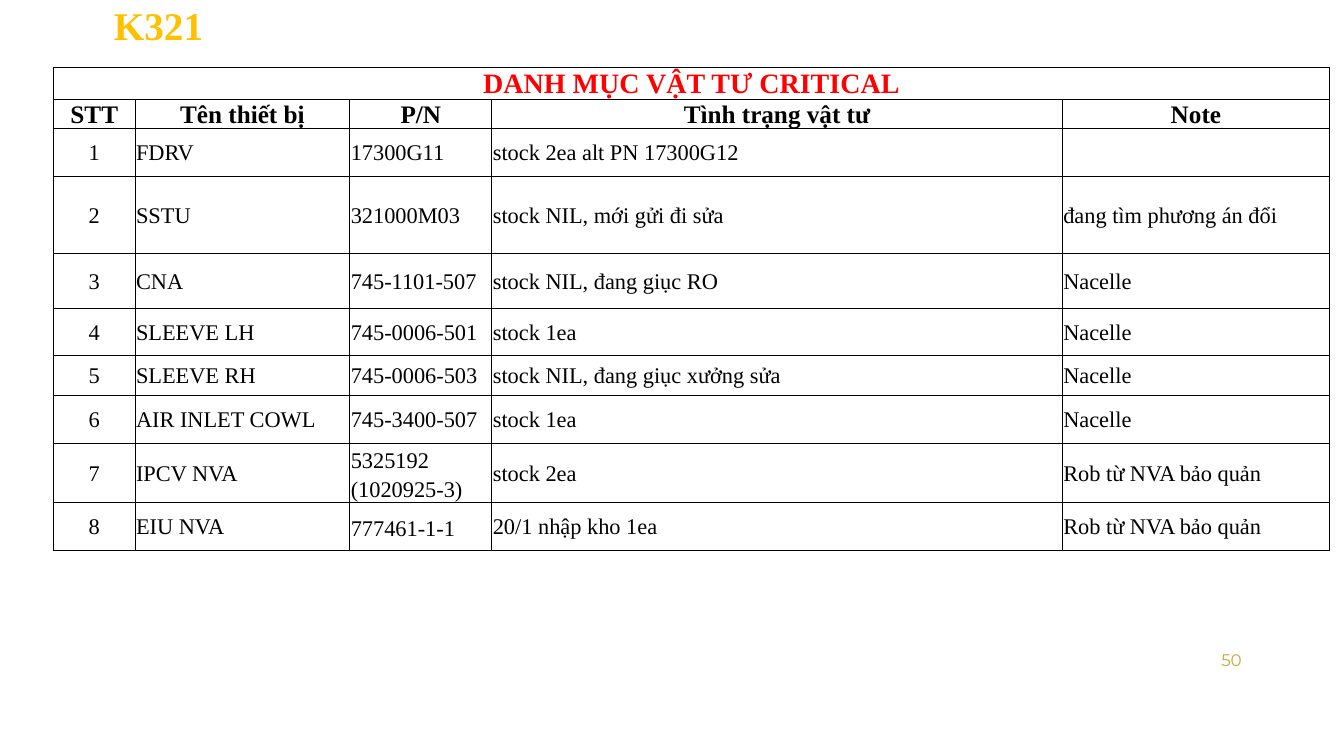
from pptx import Presentation
from pptx.dml.color import RGBColor
from pptx.enum.text import MSO_ANCHOR, MSO_AUTO_SIZE, PP_ALIGN
from pptx.oxml import parse_xml
from pptx.oxml.ns import nsdecls
from pptx.util import Pt

LEFT, MID, RIGHT = PP_ALIGN.LEFT, PP_ALIGN.CENTER, PP_ALIGN.RIGHT
CENTRE = MSO_ANCHOR.MIDDLE
FIXED = MSO_AUTO_SIZE.NONE
SERIF = "Times New Roman"
BLACK = "000000"
HEAD = ["STT", "Tên thiết bị", "P/N", "Tình trạng vật tư", "Note"]
PARTS = [
    ["FDRV", "17300G11", "stock 2ea alt PN 17300G12", ""],
    ["SSTU", "321000M03", "stock NIL, mới gửi đi sửa", "đang tìm phương án đổi"],
    ["CNA", "745-1101-507", "stock NIL, đang giục RO", "Nacelle"],
    ["SLEEVE LH", "745-0006-501", "stock 1ea", "Nacelle"],
    ["SLEEVE RH", "745-0006-503", "stock NIL, đang giục xưởng sửa", "Nacelle"],
    ["AIR INLET COWL", "745-3400-507", "stock 1ea", "Nacelle"],
    ["IPCV NVA", "5325192 (1020925-3)", "stock 2ea", "Rob từ NVA bảo quản"],
    ["EIU NVA", "777461-1-1", "20/1 nhập kho 1ea", "Rob từ NVA bảo quản"],
]
WIDTHS = [58.3, 153.4, 101.5, 407.5, 190.8]
HEIGHTS = [13.7, 13.7, 34.6, 54.7, 39.6, 33.1, 28.8, 34.6, 34.6, 34.6]


def color(code):
    """Turn a hex string into a colour."""
    return RGBColor.from_string(code)


class Deck:
    """Hold the style and the current slide."""

    def __init__(self):
        """Open a widescreen deck with one titled slide."""
        self.deck = Presentation()
        self.deck.slide_width, self.deck.slide_height = Pt(960), Pt(540)
        self.slide = self.deck.slides.add_slide(self.deck.slide_layouts[5])

    def text(self, frame, words, size, code, align=LEFT, gap=1.0, **style):
        """Fill a text frame with one styled paragraph."""
        para = frame.paragraphs[0]
        para.alignment, para.line_spacing = align, gap
        run = para.add_run()
        run.text = words
        look = {"name": SERIF, "bold": False, "size": Pt(size), **style}
        for key, value in look.items():
            setattr(run.font, key, value)
        run.font.color.rgb = color(code)

    def frame(self, shape):
        """Set up the text frame of a shape."""
        look = {"word_wrap": True, "auto_size": FIXED, "vertical_anchor": CENTRE}
        for key, value in look.items():
            setattr(shape.text_frame, key, value)
        return shape.text_frame

    def title(self, words, box):
        """Place and format the slide title."""
        shape = self.slide.shapes.title
        for key, value in zip(("left", "top", "width", "height"), box):
            setattr(shape, key, Pt(value))
        self.text(self.frame(shape), words, 28, "FFC000", gap=0.9, bold=True)

    def label(self, words, box):
        """Add the page number."""
        shape = self.slide.shapes.add_textbox(*map(Pt, box))
        self.text(self.frame(shape), words, 12, "D2A43B", RIGHT, name="Montserrat")

    def cell(self, cell, words, *args, **style):
        """Format one cell with thin black borders."""
        look = {"margin_left": Pt(0.7), "margin_right": Pt(0.7),
                "margin_top": Pt(0.7), "margin_bottom": Pt(0),
                "vertical_anchor": CENTRE}
        for key, value in look.items():
            setattr(cell, key, value)
        cell.fill.background()
        props = cell._tc.get_or_add_tcPr()
        for spot, side in enumerate("LRTB"):
            props.insert(spot, parse_xml(
                f'<a:ln{side} {nsdecls("a")} w="{Pt(0.75)}"><a:solidFill>'
                f'<a:srgbClr val="{BLACK}"/></a:solidFill></a:ln{side}>'))
        if words:
            self.text(cell.text_frame, words, *args, **style)

    def table(self, title, head, parts, left, top):
        """Add the parts table under its merged heading."""
        rows = [[title] + [""] * (len(head) - 1), head]
        rows += [[str(num), *part] for num, part in enumerate(parts, 1)]
        grid = self.slide.shapes.add_table(
            len(rows), len(head), Pt(left), Pt(top),
            Pt(sum(WIDTHS)), Pt(sum(HEIGHTS))).table
        grid.first_row = grid.horz_banding = False
        for col, width in zip(grid.columns, WIDTHS):
            col.width = Pt(width)
        for row, height in zip(grid.rows, HEIGHTS):
            row.height = Pt(height)
        for r, row in enumerate(rows):
            size, code = {0: (20, "FF0000"), 1: (18, BLACK)}.get(r, (16, BLACK))
            for c, words in enumerate(row):
                align = MID if r < 2 or c == 0 else LEFT
                gap = 1.15 if r > 7 and c == 2 else 1.0
                self.cell(grid.cell(r, c), words, size, code, align, gap, bold=r < 2)
        grid.cell(0, 0).merge(grid.cell(0, len(head) - 1))


def main():
    """Build and save the slide."""
    deck = Deck()
    deck.title("K321", (74.2, -7.9, 839.5, 56.2))
    deck.label("50", (678.2, 457.2, 216, 28.8))
    deck.table("DANH MỤC VẬT TƯ CRITICAL", HEAD, PARTS, 38.2, 48.2)
    deck.deck.save("out.pptx")


if __name__ == "__main__":
    main()
